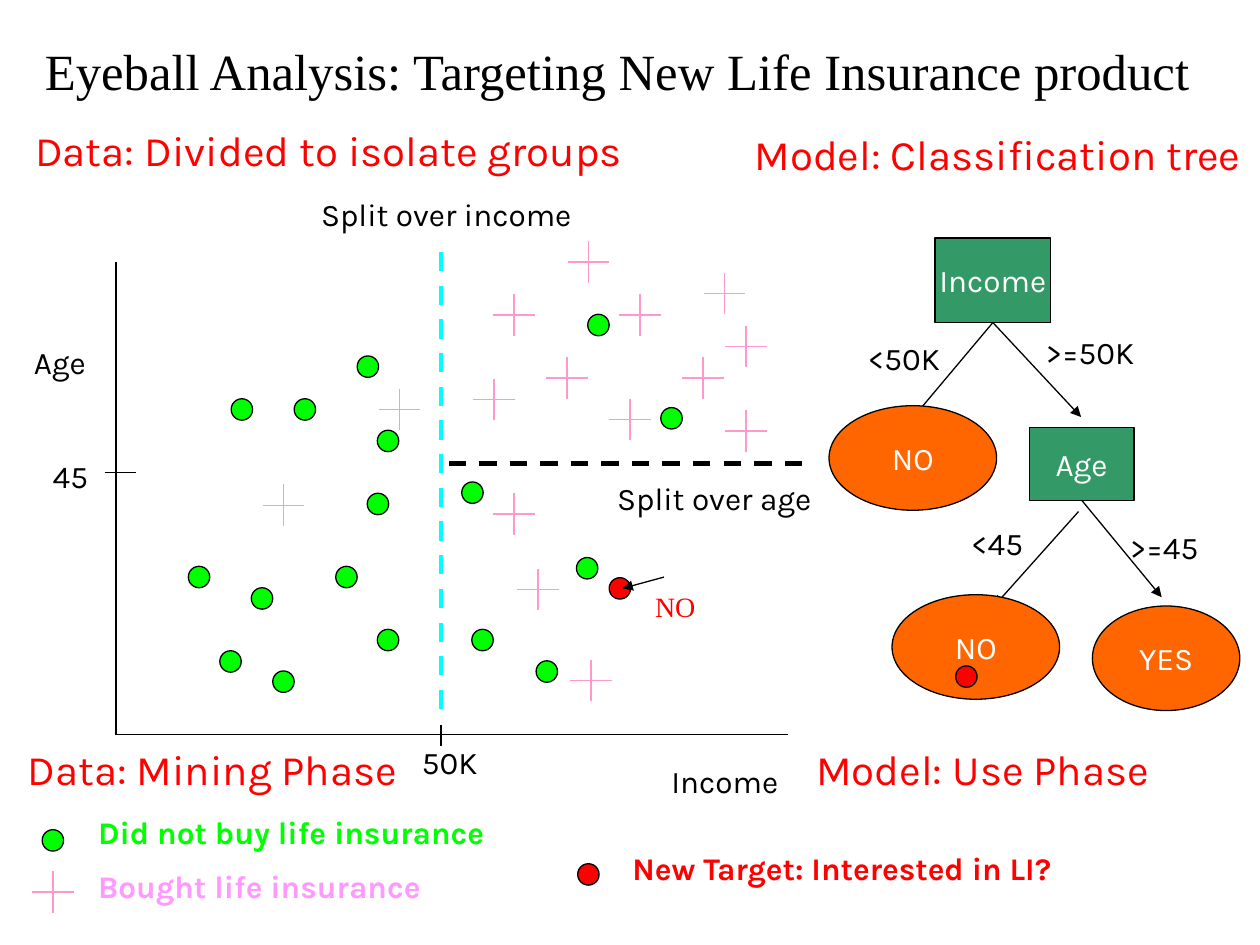
from lxml import etree
from pptx import Presentation
from pptx.dml.color import RGBColor
from pptx.enum.dml import MSO_LINE
from pptx.enum.shapes import MSO_CONNECTOR, MSO_SHAPE
from pptx.enum.text import MSO_ANCHOR, MSO_AUTO_SIZE, PP_ALIGN
from pptx.oxml.ns import qn
from pptx.util import Inches, Pt

BLACK, WHITE, RED, LIME = "000000", "FFFFFF", "FF0000", "00FF00"
PINK, CYAN, GREEN, ORANGE = "FF99CC", "00FFFF", "339966", "FF6600"
DOT, CROSS = 0.17, 0.33

# Centres, in inches from the top left of the plot
BUYERS = [(4.83, 0.25), (4.66, 0.92), (3.58, 0.92), (4.16, 0.42), (5, 0.67),
          (5, 1.34), (3.16, 0.42), (4.08, 1.25), (3.75, 0), (2.25, 1.17),
          (3.16, 2), (3, 1.09), (3.35, 2.6), (3.77, 3.32), (1.33, 1.93)]
NON_BUYERS = [(1.83, 2.5), (2.16, 1.42), (2.16, 3), (2.08, 1.92), (1.5, 1.17),
              (1.16, 2.67), (1.33, 3.33), (0.91, 3.17), (0.66, 2.5),
              (2.83, 1.83), (3.74, 2.43), (1, 1.17), (2, 0.83), (3.42, 3.25),
              (2.91, 3), (3.83, 0.5), (4.41, 1.24)]


def rgb(value):
    return RGBColor.from_string(value)


def write(tf, text, size=18, color=BLACK, font="Karla", bold=False, align=PP_ALIGN.LEFT):
    p = tf.paragraphs[0]
    p.alignment = align
    r = p.add_run()
    r.text = text
    r.font.size, r.font.name, r.font.bold = Pt(size), font, bold
    r.font.color.rgb = rgb(color)


def add_label(slide, text, x, y, w, h=0.4, wrap=False, **fmt):
    tf = slide.shapes.add_textbox(Inches(x), Inches(y), Inches(w), Inches(h)).text_frame
    tf.word_wrap = wrap
    tf.auto_size = MSO_AUTO_SIZE.SHAPE_TO_FIT_TEXT
    write(tf, text, **fmt)


def add_line(slide, x1, y1, x2, y2, color=BLACK, width=0.75, dashed=False, arrow=False):
    line = slide.shapes.add_connector(
        MSO_CONNECTOR.STRAIGHT, Inches(x1), Inches(y1), Inches(x2), Inches(y2))
    line.line.color.rgb = rgb(color)
    line.line.width = Pt(width)
    if dashed:
        line.line.dash_style = MSO_LINE.DASH
    if arrow:
        etree.SubElement(line.line._get_or_add_ln(), qn("a:tailEnd"), type="triangle")
    etree.SubElement(line._element.spPr, qn("a:effectLst"))
    return line


def add_node(slide, kind, x, y, w, h, fill, text=None):
    sp = slide.shapes.add_shape(kind, Inches(x), Inches(y), Inches(w), Inches(h))
    sp.shadow.inherit = False
    sp.fill.solid()
    sp.fill.fore_color.rgb = rgb(fill)
    sp.line.color.rgb = rgb(BLACK)
    sp.line.width = Pt(0.75)
    if text:
        tf = sp.text_frame
        tf.word_wrap = False
        tf.vertical_anchor = MSO_ANCHOR.MIDDLE
        write(tf, text, color=WHITE, align=PP_ALIGN.CENTER)
    return sp


def add_dot(slide, cx, cy, color=LIME):
    add_node(slide, MSO_SHAPE.OVAL, cx - DOT / 2, cy - DOT / 2, DOT, DOT, color)


def add_cross(slide, cx, cy):
    half = CROSS / 2
    add_line(slide, cx - half, cy, cx + half, cy, PINK)
    add_line(slide, cx, cy - half, cx, cy + half, PINK)


def add_title(slide, x, y, w, h):
    tf = slide.shapes.add_textbox(Inches(x), Inches(y), Inches(w), Inches(h)).text_frame
    tf.word_wrap = True
    tf.vertical_anchor = MSO_ANCHOR.MIDDLE
    tf.margin_right = Inches(0.33)
    write(tf, "Eyeball Analysis: Targeting New Life Insurance product",
          size=29, font="Times New Roman", align=PP_ALIGN.CENTER)


def add_headings(slide):
    for text, x, y, w in [("Data: Divided to isolate groups", 0.18, 0.94, 5.02),
                          ("Model: Classification tree", 5.89, 0.97, 4.21),
                          ("Data: Mining Phase", 0.12, 5.85, 3.23),
                          ("Model: Use Phase", 6.38, 5.85, 2.98)]:
        add_label(slide, text, x, y, w, 0.5, size=24, color=RED)


def add_scatter(slide, x, y, w, h):
    """Age against income, with the two splits and the new target."""
    split_x, split_y = x + 2.58, y + 1.67
    add_line(slide, x, y, x, y + h)
    add_line(slide, x, y + h, x + w, y + h)
    add_line(slide, split_x, y + h - 0.08, split_x, y + h + 0.09)
    add_line(slide, x - 0.09, split_y, x + 0.16, split_y)
    for cx, cy in BUYERS:
        add_cross(slide, x + cx, y + cy)
    add_line(slide, split_x + 0.06, y + 1.6, x + 5.47, y + 1.6, width=2.5, dashed=True)
    add_line(slide, split_x, y - 0.08, split_x, y + 3.59, CYAN, 2.75, dashed=True)
    for cx, cy in NON_BUYERS:
        add_dot(slide, x + cx, y + cy)
    add_dot(slide, x + 4, y + 2.59, RED)
    add_line(slide, x + 4.35, y + 2.5, x + 4.02, y + 2.59, arrow=True)
    for text, dx, dy, width in [("Income", 4.31, 3.92, 1.08),
                                ("Split over age", 3.88, 1.67, 1.8),
                                ("Split over income", 1.53, -0.58, 2.23),
                                ("50K", 2.33, 3.77, 0.64),
                                ("45", -0.6, 1.5, 0.48)]:
        add_label(slide, text, x + dx, y + dy, width)
    add_label(slide, "Age", x - 0.75, y + 0.59, 0.79, wrap=True)
    add_label(slide, "NO", x + 4.18, y + 2.55, 0.69, 0.37, wrap=True,
              size=16, color=RED, font="Times New Roman")


def add_tree(slide, x, y):
    rect, oval = MSO_SHAPE.RECTANGLE, MSO_SHAPE.OVAL
    income = add_node(slide, rect, x + 0.84, y, 0.92, 0.67, GREEN, "Income")
    age = add_node(slide, rect, x + 1.59, y + 1.5, 0.83, 0.58, GREEN, "Age")
    for parent, x1, y1, x2, y2 in [(income, 1.34, 0.67, 0.67, 1.42),
                                   (income, 1.34, 0.67, 2, 1.42),
                                   (None, 1.98, 2.17, 1.31, 2.92),
                                   (age, 1.98, 2.1, 2.64, 2.85)]:
        branch = add_line(slide, x + x1, y + y1, x + x2, y + y2, arrow=True)
        if parent is not None:
            branch.begin_connect(parent, 2)
    for text, dx, dy, w in [(">=50K", 1.62, 0.7, 0.92), ("<50K", 0.21, 0.75, 0.78),
                            (">=45", 2.29, 2.25, 0.77), ("<45", 1.03, 2.22, 0.63)]:
        add_label(slide, text, x + dx, y + dy, w)
    for text, dx, dy, w in [("NO", 0, 1.33, 1.33), ("NO", 0.5, 2.83, 1.33),
                            ("YES", 2.09, 2.92, 1.17)]:
        add_node(slide, oval, x + dx, y + dy, w, 0.83, ORANGE, text)
    add_dot(slide, x + 1.09, y + 3.48, RED)


def add_legend(slide, x, y):
    add_dot(slide, x + 0.17, y + 0.27)
    add_cross(slide, x + 0.17, y + 0.68)
    add_dot(slide, x + 4.42, y + 0.54, RED)
    for text, dx, dy, w, color in [
            ("Did not buy life insurance", 0.43, 0, 3.47, LIME),
            ("Bought life insurance", 0.43, 0.43, 2.88, "FF99FF"),
            ("New Target: Interested in LI?", 4.67, 0.29, 3.9, RED)]:
        add_label(slide, text, x + dx, y + dy, w, color=color, bold=True)


def main():
    prs = Presentation()
    prs.slide_width, prs.slide_height = Inches(10), Inches(7.5)
    slide = prs.slides.add_slide(prs.slide_layouts[6])
    add_title(slide, 0.2, 0.08, 9.64, 0.95)
    add_scatter(slide, 0.92, 2.08, 5.33, 3.75)
    add_tree(slide, 6.58, 1.89)
    add_legend(slide, 0.25, 6.4)
    add_headings(slide)
    prs.save("out.pptx")


if __name__ == "__main__":
    main()
